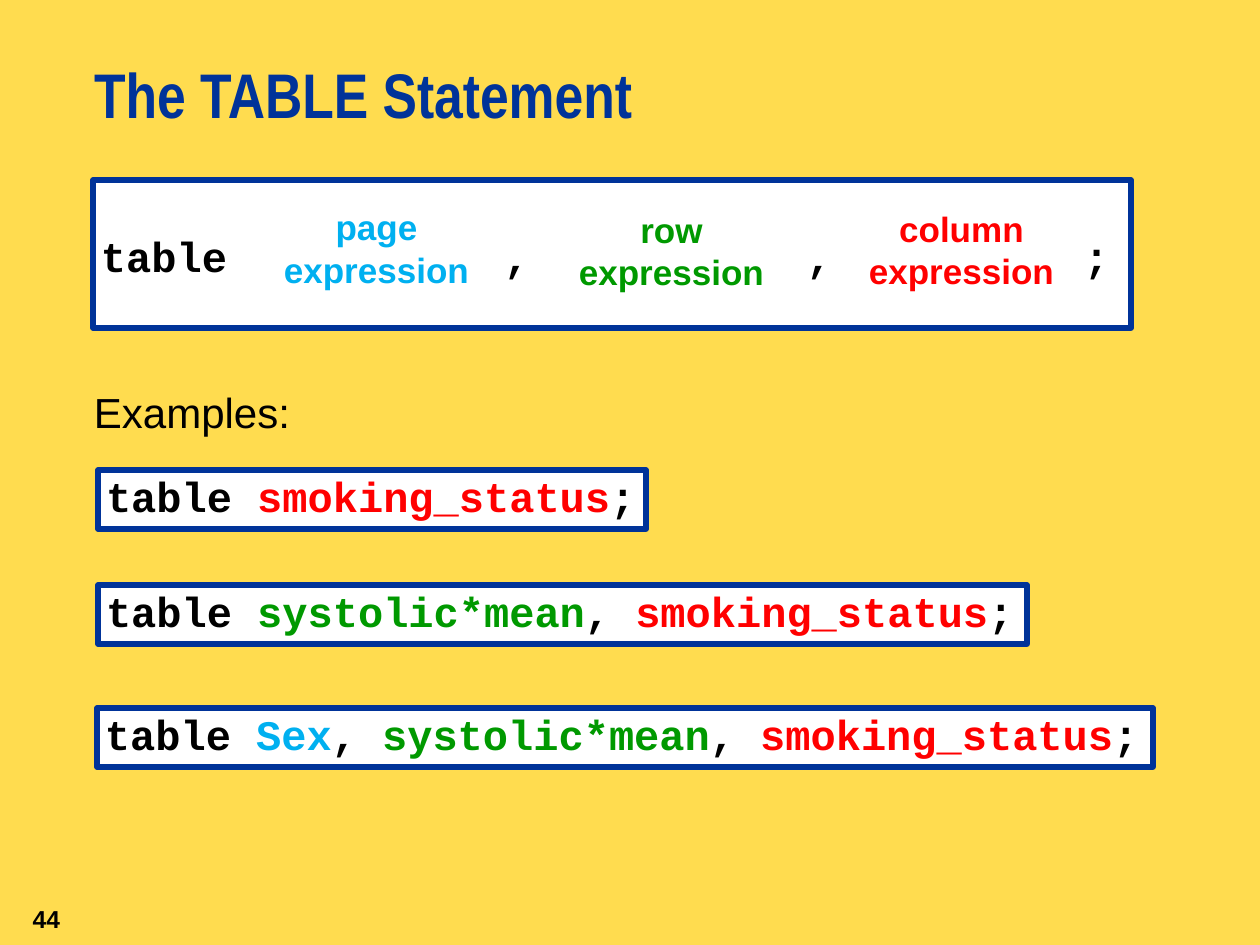
from pptx import Presentation
from pptx import util as u
from pptx.dml.color import RGBColor
from pptx.enum import shapes, text
from pptx.oxml.ns import qn
from lxml import etree

PX = 914400 / 126
COLORS = {
    "background": "FFDC4F", "navy": "003399", "white": "FFFFFF", "plain": "000000",
    "page": "00B0F0", "row": "009900", "column": "FF0000",
}
CODE_FONT = "Courier New"
CODE_INSET = 8

# text, left, top, width, height, size, font, bold, colour
HEADINGS = [
    ("The TABLE Statement", 94, 63, 1166, 94, 36, "Arial Narrow", True, "navy"),
    ("Examples:", 94, 387, 1081, 50, 24, "Arial", False, "plain"),
]
SLIDE_NUMBER = ("44", 0, 892, 73, 53, 14, "Arial", True, "plain")

SYNTAX = "table\t,\t,\t;"
SYNTAX_BOX = (93, 180, 1038, 148)
SYNTAX_STOPS = [16, 28, 39]  # in characters
CHARACTER_INCHES = 0.2

EXPRESSIONS = [("page", 267, 200), ("row", 562, 203), ("column", 852, 202)]

TABLE = ("table ", "plain")
SEX = ("Sex", "page")
SYSTOLIC = ("systolic*mean", "row")
SMOKING = ("smoking_status", "column")
COMMA, END = (", ", "plain"), (";", "plain")
EXAMPLES = [  # left, top, width, code
    (98, 470, 548, [TABLE, SMOKING, END]),
    (98, 585, 929, [TABLE, SYSTOLIC, COMMA, SMOKING, END]),
    (97, 708, 1056, [TABLE, SEX, COMMA, SYSTOLIC, COMMA, SMOKING, END]),
]
EXAMPLE_HEIGHT = 59


def px(n):
    return u.Emu(round(n * PX))


def rgb(name):
    return RGBColor.from_string(COLORS[name])


def style(run, size, font, bold, color):
    run.font.size, run.font.name, run.font.bold = u.Pt(size), font, bold
    run.font.color.rgb = rgb(color)


def set_insets(frame, across, down):
    frame.margin_left = frame.margin_right = px(across)
    frame.margin_top = frame.margin_bottom = px(down)


def add_label(slide, words, left, top, width, height, size, font, bold, color,
              insets=(0, 0), align=text.PP_ALIGN.LEFT):
    frame = slide.shapes.add_textbox(*map(px, (left, top, width, height))).text_frame
    frame.word_wrap = True
    set_insets(frame, *insets)
    paragraph = frame.paragraphs[0]
    paragraph.text, paragraph.alignment = words, align
    style(paragraph.runs[0], size, font, bold, color)
    return frame


def add_code_box(slide, left, top, width, height, code, stops=()):
    box = slide.shapes.add_shape(shapes.MSO_SHAPE.RECTANGLE,
                                 *map(px, (left, top, width, height)))
    box.shadow.inherit = False
    box.fill.solid()
    box.fill.fore_color.rgb = rgb("white")
    box.line.color.rgb = rgb("navy")
    box.line.width = u.Pt(3)
    frame = box.text_frame
    frame.word_wrap = bool(stops)
    frame.vertical_anchor = text.MSO_ANCHOR.MIDDLE
    set_insets(frame, CODE_INSET, CODE_INSET)
    paragraph = frame.paragraphs[0]
    paragraph.alignment = text.PP_ALIGN.LEFT
    paragraph.line_spacing = 0.85
    if stops:
        tabs = etree.SubElement(paragraph._p.get_or_add_pPr(), qn("a:tabLst"))
        for stop in stops:
            etree.SubElement(tabs, qn("a:tab"), algn="l",
                             pos=str(u.Inches(stop * CHARACTER_INCHES)))
    for words, color in code:
        run = paragraph.add_run()
        run.text = words
        style(run, 24, CODE_FONT, True, color)
    return frame


def main():
    deck = Presentation()
    deck.slide_width, deck.slide_height = px(1260), px(945)
    slide = deck.slides.add_slide(deck.slide_layouts[6])
    slide.background.fill.solid()
    slide.background.fill.fore_color.rgb = rgb("background")

    for heading in HEADINGS:
        frame = add_label(slide, *heading)
        if heading is HEADINGS[0]:
            frame.paragraphs[0].line_spacing = u.Pt(39)

    number = add_label(slide, *SLIDE_NUMBER, insets=(13, 6), align=text.PP_ALIGN.RIGHT)
    number.word_wrap = False
    number.vertical_anchor = text.MSO_ANCHOR.MIDDLE

    syntax = add_code_box(slide, *SYNTAX_BOX, [(SYNTAX, "plain")], SYNTAX_STOPS)
    syntax.margin_top = px(CODE_INSET + 12)
    for name, left, top in EXPRESSIONS:
        add_label(slide, f"{name} expression", left, top, 219, 102, 20, "Arial", True,
                  name, insets=(6, 6), align=text.PP_ALIGN.CENTER)

    for left, top, width, code in EXAMPLES:
        add_code_box(slide, left, top, width, EXAMPLE_HEIGHT, code)

    deck.save("out.pptx")


if __name__ == "__main__":
    main()
